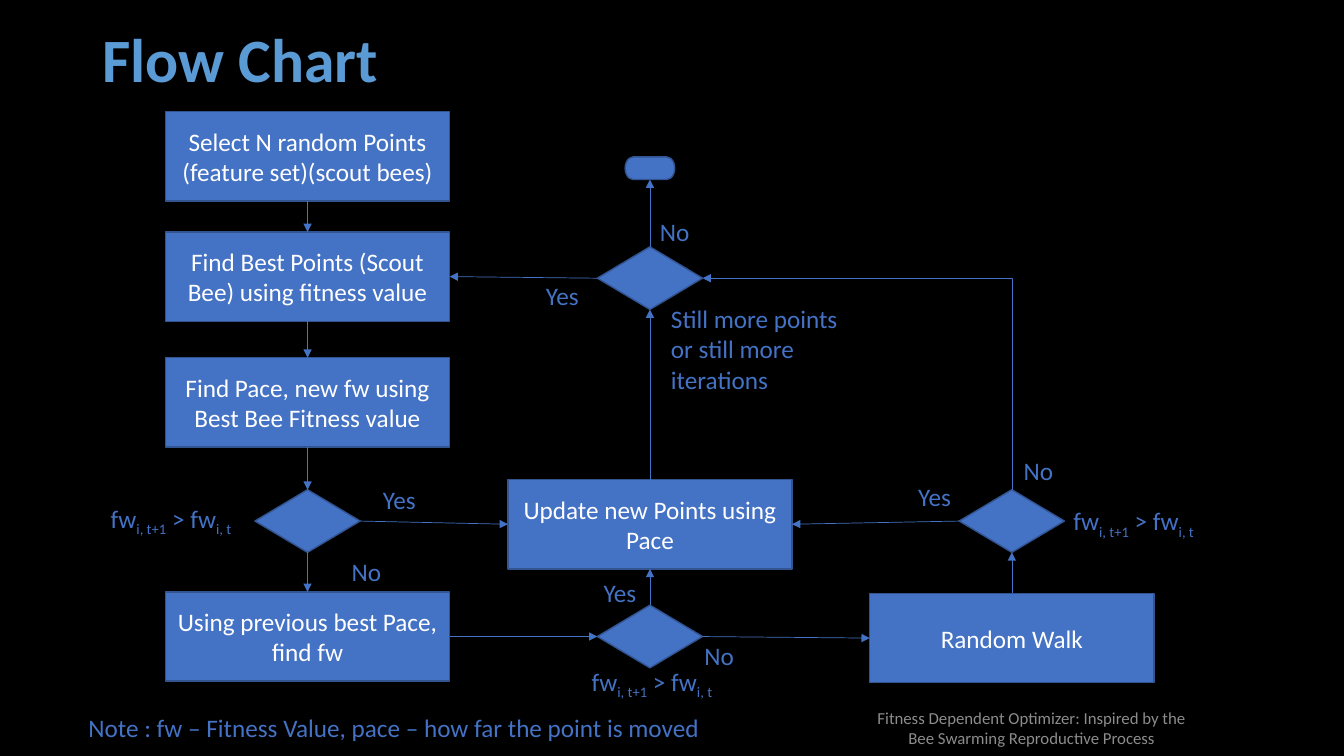
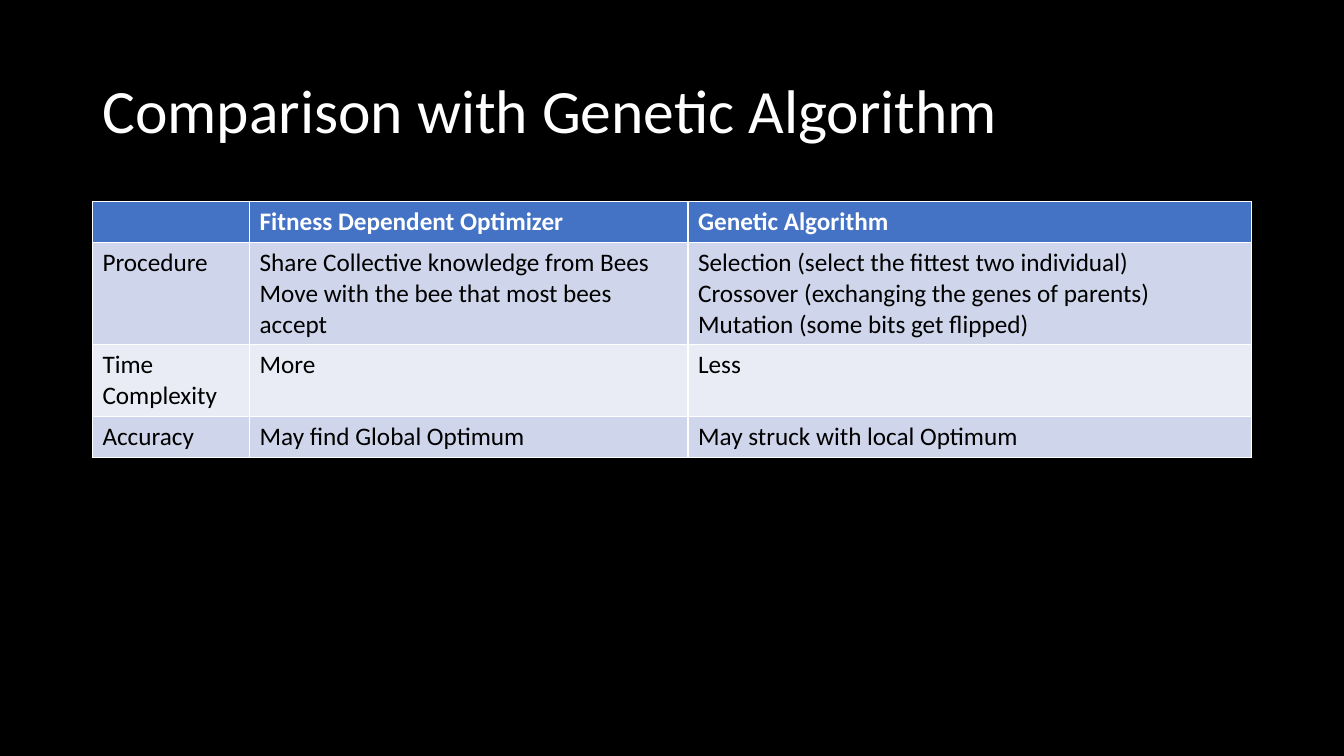
from lxml.etree import SubElement
from pptx import Presentation
from pptx.dml.color import RGBColor
from pptx.enum.shapes import MSO_CONNECTOR, MSO_SHAPE
from pptx.enum.text import MSO_ANCHOR, MSO_AUTO_SIZE, PP_ALIGN
from pptx.oxml.ns import qn
from pptx.util import Cm, Pt

FONT = "Calibri"
BLACK, WHITE, GREY = "000000", "FFFFFF", "8C8C8C"
BLUE, DARK_BLUE, TITLE_BLUE = "4472C4", "325491", "5B9BD5"
BANDS = ["CFD5EA", "E9EBF5"]


def rgb(color):
    return RGBColor.from_string(color)


def write(tf, text, size, color, align=PP_ALIGN.LEFT, bold=False):
    """Fill a text frame, one paragraph per line; text between _ marks is subscript."""
    for i, line in enumerate(text.split("\n")):
        p = tf.paragraphs[0] if i == 0 else tf.add_paragraph()
        p.alignment = align
        p.font.name, p.font.size, p.font.bold = FONT, Pt(size), bold
        p.font.color.rgb = rgb(color)
        for j, part in enumerate(line.split("_")):
            if part:
                r = p.add_run()
                r.text = part
                if j % 2:
                    r.font._element.set("baseline", "-25000")


prs = Presentation()
prs.slide_width, prs.slide_height = Cm(33.87), Cm(19.05)
fill = prs.slide_master.background.fill
fill.solid()
fill.fore_color.rgb = rgb(BLACK)

# Slides and their titles
slides = []
for title, height, color, bold in [
    ("Flow Chart", 1.12, TITLE_BLUE, True),
    ("Comparison with Genetic Algorithm", 3.68, WHITE, False),
]:
    s = prs.slides.add_slide(prs.slide_layouts[5])
    sp = s.shapes.title
    sp.left, sp.top, sp.width, sp.height = Cm(2.33), Cm(1.01), Cm(29.21), Cm(height)
    tf = sp.text_frame
    tf.auto_size = MSO_AUTO_SIZE.NONE
    tf.vertical_anchor = MSO_ANCHOR.MIDDLE
    write(tf, title, 44, color, bold=bold)
    tf.paragraphs[0].line_spacing = 0.9
    slides.append(s)
flow, comparison = slides

# Flow chart nodes, placed by their centres in three columns
LEFT, MIDDLE, RIGHT = 7.75, 16.38, 25.5
PROCESS = (MSO_SHAPE.FLOWCHART_PROCESS, 7.16, 2.25)
DECISION = (MSO_SHAPE.FLOWCHART_DECISION, 2.65, 1.58)
END = (MSO_SHAPE.FLOWCHART_TERMINATOR, 1.25, 0.57)
nodes = {}
for name, (kind, w, h), x, y, text in [
    ("select", PROCESS, LEFT, 3.94, "Select N random Points (feature set)(scout bees)"),
    ("best", PROCESS, LEFT, 6.97, "Find Best Points (Scout Bee) using fitness value"),
    ("pace", PROCESS, LEFT, 10.14, "Find Pace, new fw using Best Bee Fitness value"),
    ("pace better", DECISION, LEFT, 13.13, ""),
    ("previous", PROCESS, LEFT, 16.04, "Using previous best Pace, find fw"),
    ("previous better", DECISION, MIDDLE, 16.04, ""),
    ("update", PROCESS, MIDDLE, 13.21, "Update new Points using Pace"),
    ("more", DECISION, MIDDLE, 7.01, ""),
    ("end", END, MIDDLE, 4.24, ""),
    ("walk", PROCESS, RIGHT, 16.08, "Random Walk"),
    ("walk better", DECISION, RIGHT, 13.13, ""),
]:
    sp = flow.shapes.add_shape(kind, Cm(x - w / 2), Cm(y - h / 2), Cm(w), Cm(h))
    sp.shadow.inherit = False
    sp.fill.solid()
    sp.fill.fore_color.rgb = rgb(BLUE)
    sp.line.color.rgb = rgb(DARK_BLUE)
    sp.line.width = Pt(1)
    if text:
        sp.text_frame.vertical_anchor = MSO_ANCHOR.MIDDLE
        write(sp.text_frame, text, 18, WHITE, PP_ALIGN.CENTER)
    nodes[name] = sp

# Arrows between connection sites
TOP, WEST, BOTTOM, EAST = range(4)
STRAIGHT, ELBOW = MSO_CONNECTOR.STRAIGHT, MSO_CONNECTOR.ELBOW
for kind, start, start_site, stop, stop_site in [
    (STRAIGHT, "select", BOTTOM, "best", TOP),
    (STRAIGHT, "best", BOTTOM, "pace", TOP),
    (STRAIGHT, "pace", BOTTOM, "pace better", TOP),
    (STRAIGHT, "pace better", BOTTOM, "previous", TOP),
    (STRAIGHT, "pace better", EAST, "update", WEST),
    (STRAIGHT, "previous", EAST, "previous better", WEST),
    (STRAIGHT, "previous better", TOP, "update", BOTTOM),
    (STRAIGHT, "previous better", EAST, "walk", WEST),
    (STRAIGHT, "update", TOP, "more", BOTTOM),
    (STRAIGHT, "more", WEST, "best", EAST),
    (STRAIGHT, "more", TOP, "end", BOTTOM),
    (STRAIGHT, "walk", TOP, "walk better", BOTTOM),
    (STRAIGHT, "walk better", WEST, "update", EAST),
    (ELBOW, "more", EAST, "walk better", TOP),
]:
    c = flow.shapes.add_connector(kind, 0, 0, 0, 0)
    c.begin_connect(nodes[start], start_site)
    c.end_connect(nodes[stop], stop_site)
    c.line.color.rgb = rgb(BLUE)
    c.line.width = Pt(0.5)
    arrow_end = "a:tailEnd"
    if kind == ELBOW:
        # One right-angle bend; the arrow points back to the first node
        c._element.spPr.find(qn("a:prstGeom")).set("prst", "bentConnector2")
        arrow_end = "a:headEnd"
    SubElement(c.line._get_or_add_ln(), qn(arrow_end), type="triangle")
    SubElement(c._element.spPr, qn("a:effectLst"))

# Labels, note and footer
FITNESS = "fw_i, t+1_ > fw_i, t_"
FOOTER = "Fitness Dependent Optimizer: Inspired by the\nBee Swarming Reproductive Process"
for text, x, y, w in [
    ("Yes", 9.4, 12.09, 1.35),
    ("No", 8.61, 13.89, 1.27),
    ("Yes", 14.96, 14.43, 1.35),
    ("No", 17.5, 16, 1.27),
    ("Yes", 13.51, 6.93, 1.35),
    ("No", 16.38, 5.33, 1.27),
    ("Yes", 22.89, 12.01, 1.35),
    ("No", 25.55, 11.35, 1.27),
    (FITNESS, 2.54, 12.55, 4.55),
    (FITNESS, 14.66, 16.66, 4.55),
    (FITNESS, 26.8, 12.62, 4.55),
    ("Still more points or still more iterations", 16.66, 7.52, 5.05),
    ("Note : fw – Fitness Value, pace – how far the point is moved", 1.98, 17.83, 17.04),
    (FOOTER, 20.9, 17.91, 10.2),
]:
    tf = flow.shapes.add_textbox(Cm(x), Cm(y), Cm(w), Cm(0.85 if text == FOOTER else 1.02)).text_frame
    tf.word_wrap = w > 2
    if text == FOOTER:
        tf.vertical_anchor = MSO_ANCHOR.MIDDLE
        write(tf, text, 12, GREY, PP_ALIGN.CENTER)
    else:
        write(tf, text, 18, BLUE)

# Comparison table
rows = [
    ["", "Fitness Dependent Optimizer", "Genetic Algorithm"],
    ["Procedure",
     "Share Collective knowledge from Bees\nMove with the bee that most bees accept",
     "Selection (select the fittest two individual)\n"
     "Crossover (exchanging the genes of parents)\n"
     "Mutation (some bits get flipped)"],
    ["Time Complexity", "More", "Less"],
    ["Accuracy", "May find Global Optimum", "May struck with local Optimum"],
]
widths, heights = [3.96, 11.05, 14.2], [1.03, 2.58, 1.8, 1.03]
table = comparison.shapes.add_table(
    len(rows), len(widths), Cm(2.33), Cm(5.08), Cm(sum(widths)), Cm(sum(heights))
).table
for column, w in zip(table.columns, widths):
    column.width = Cm(w)
for i, (row, h) in enumerate(zip(rows, heights)):
    table.rows[i].height = Cm(h)
    header = i == 0
    for j, text in enumerate(row):
        cell = table.cell(i, j)
        cell.fill.solid()
        cell.fill.fore_color.rgb = rgb(BLUE if header else BANDS[(i - 1) % 2])
        write(cell.text_frame, text, 18, WHITE if header else BLACK, bold=header)

prs.save("out.pptx")
